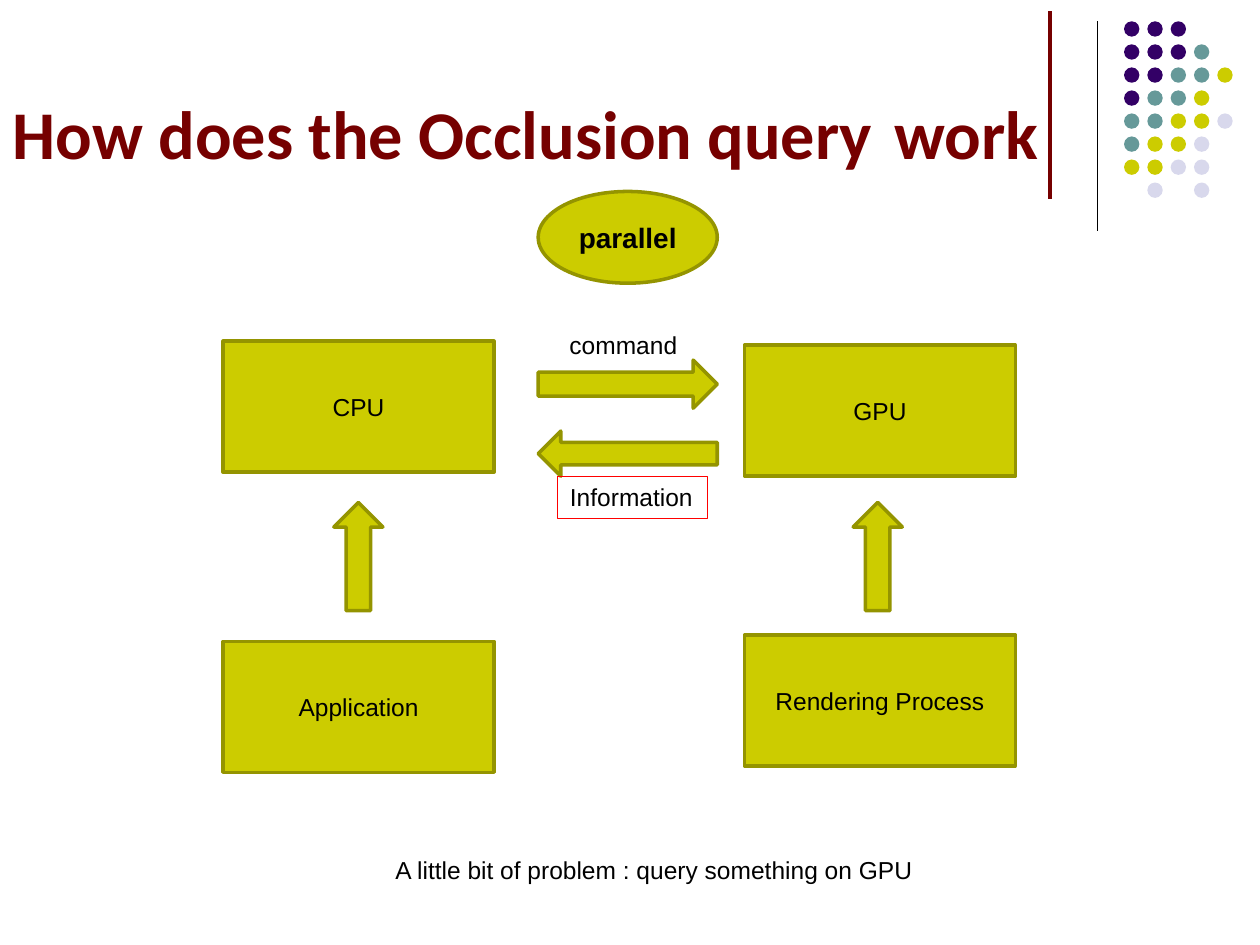
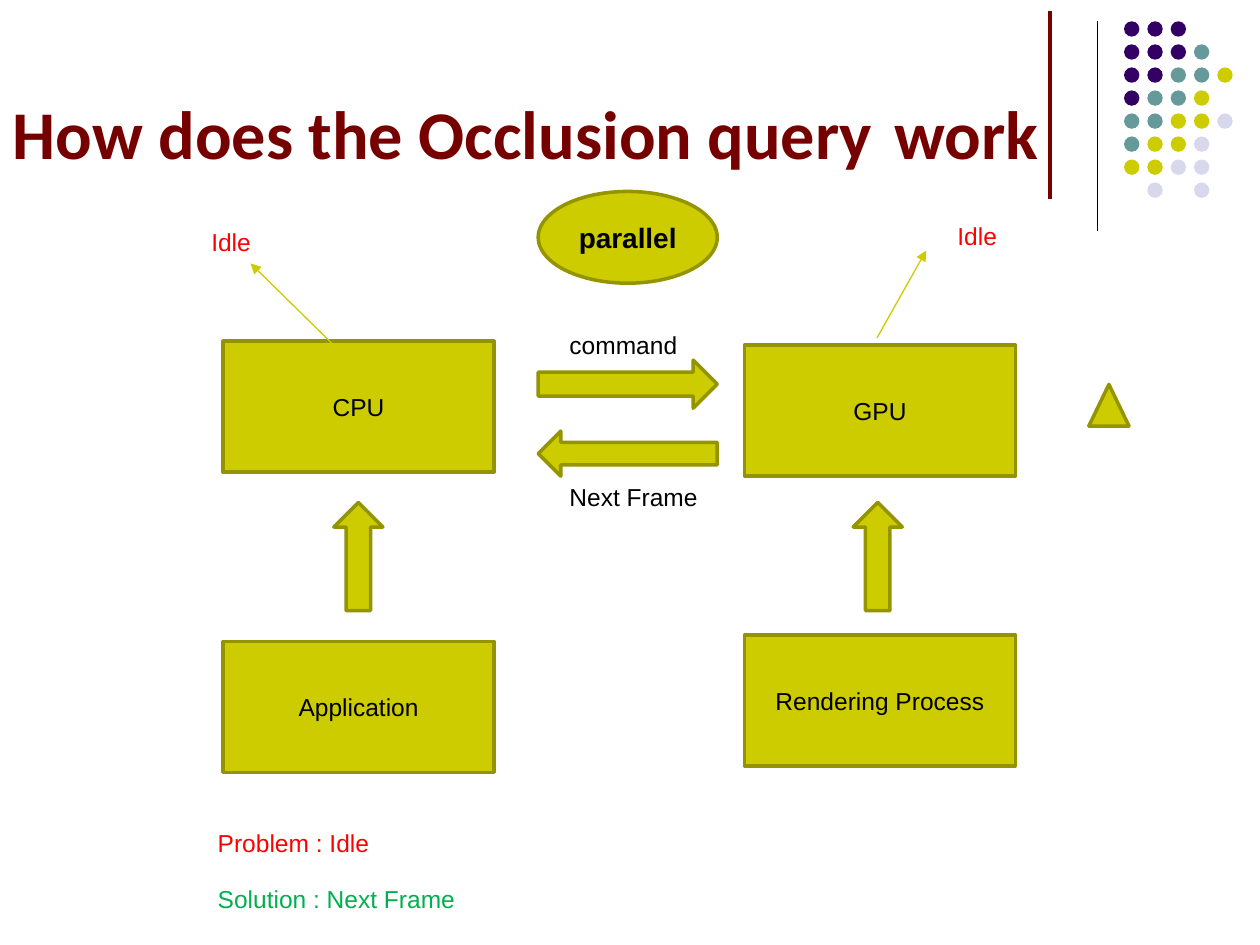
from lxml import etree
from pptx import Presentation
from pptx import util as u
from pptx.dml.color import RGBColor
from pptx.enum import shapes, text
from pptx.oxml.ns import qn

PURPLE, TEAL, YELLOW, PALE = "330066", "669999", "CCCC00", "D8D8EC"
MAROON, OLIVE, BLACK, RED, GREEN = "760000", "949400", "000000", "FF0000", "00B050"
DOT_COLOURS = {"P": PURPLE, "T": TEAL, "Y": YELLOW, "L": PALE}
DOT_ROWS = ["PPP", "PPPT", "PPTTY", "PTTY", "TTYYL", "TYYL", "YYLL", "-L-L"]
TITLE = "How does the Occlusion query \twork"
FORM = shapes.MSO_SHAPE


def colour(hex_code):
    return RGBColor.from_string(hex_code)


class Deck:
    """Holds the shared style and draws elements on the current slide, in centimetres."""

    def __init__(self):
        self.show = Presentation()
        self.show.slide_width, self.show.slide_height = u.Cm(25.4), u.Cm(19.05)
        self.slide = None

    def new_slide(self, heading):
        self.slide = self.show.slides.add_slide(self.show.slide_layouts[5])
        self.title(heading)
        self.line(22.12, 0.43, 22.12, 4.65, BLACK)
        self.line(21.16, 0.23, 21.16, 4.01, MAROON, 2.25)
        for row, codes in enumerate(DOT_ROWS):
            for column, code in enumerate(codes):
                if code in DOT_COLOURS:
                    self.shape(FORM.OVAL, 22.66 + 0.47 * column, 0.43 + 3.25 / 7 * row,
                               0.31, 0.31, fill=DOT_COLOURS[code], outline=None)

    def set_words(self, frame, words, size=14, ink=BLACK, bold=False, font="Arial",
                  align=text.PP_ALIGN.LEFT, anchor=text.MSO_ANCHOR.TOP, tab=None):
        frame.word_wrap = True
        frame.auto_size = text.MSO_AUTO_SIZE.NONE
        frame.vertical_anchor = anchor
        frame.text = words
        paragraph = frame.paragraphs[0]
        paragraph.alignment = align
        if tab:
            stops = etree.SubElement(paragraph._p.get_or_add_pPr(), qn("a:tabLst"))
            etree.SubElement(stops, qn("a:tab"), pos=str(u.Cm(tab)), algn="l")
        paragraph.font.name, paragraph.font.size = font, u.Pt(size)
        paragraph.font.bold = bold
        paragraph.font.color.rgb = colour(ink)

    def title(self, words):
        heading = self.slide.shapes.title
        heading.left, heading.top = u.Cm(0), u.Cm(0.51)
        heading.width, heading.height = u.Cm(23.44), u.Cm(3.1)
        self.set_words(heading.text_frame, words, 39, MAROON, True, "Calibri",
                       anchor=text.MSO_ANCHOR.BOTTOM, tab=17.78)

    def shape(self, form, left, top, width, height, words="", size=14, bold=False,
              fill=YELLOW, outline=OLIVE):
        figure = self.slide.shapes.add_shape(
            form, u.Cm(left), u.Cm(top), u.Cm(width), u.Cm(height))
        figure.shadow.inherit = False
        figure.fill.solid()
        figure.fill.fore_color.rgb = colour(fill)
        if outline:
            figure.line.color.rgb = colour(outline)
            figure.line.width = u.Pt(2)
        else:
            figure.line.fill.background()
        if words:
            self.set_words(figure.text_frame, words, size, bold=bold,
                           align=text.PP_ALIGN.CENTER, anchor=text.MSO_ANCHOR.MIDDLE)

    def label(self, words, left, top, width, ink=BLACK, outline=None):
        box = self.slide.shapes.add_textbox(u.Cm(left), u.Cm(top), u.Cm(width), u.Cm(0.86))
        self.set_words(box.text_frame, words, ink=ink)
        if outline:
            box.line.color.rgb = colour(outline)
            box.line.width = u.Pt(0.75)

    def line(self, x1, y1, x2, y2, ink, weight=0.75, arrow=False):
        rule = self.slide.shapes.add_connector(
            shapes.MSO_CONNECTOR.STRAIGHT, u.Cm(x1), u.Cm(y1), u.Cm(x2), u.Cm(y2))
        rule.line.color.rgb = colour(ink)
        rule.line.width = u.Pt(weight)
        properties = rule._element.spPr
        if arrow:
            etree.SubElement(properties.find(qn("a:ln")), qn("a:tailEnd"), type="triangle")
        etree.SubElement(properties, qn("a:effectLst"))

    def query_flow(self):
        for words, left, top in [("CPU", 4.5, 6.88), ("GPU", 15.01, 6.96),
                                 ("Application", 4.5, 12.93),
                                 ("Rendering Process", 15.01, 12.8)]:
            self.shape(FORM.RECTANGLE, left, top, 5.46, 2.64, words)
        for left in (6.73, 17.2):
            self.shape(FORM.UP_ARROW, left, 10.13, 0.99, 2.18)
        self.shape(FORM.RIGHT_ARROW, 10.85, 7.26, 3.61, 0.97)
        self.shape(FORM.LEFT_ARROW, 10.85, 8.69, 3.61, 0.91)
        self.shape(FORM.OVAL, 10.85, 3.86, 3.61, 1.85, "parallel", 16, True)
        self.label("command", 11.23, 6.53, 2.8)


def main():
    deck = Deck()

    deck.new_slide(TITLE)
    deck.query_flow()
    deck.label("Information", 11.24, 9.6, 3.02, outline=RED)
    deck.label("A little bit of problem : query something on GPU", 7.72, 17.12, 12.12)

    deck.new_slide(TITLE)
    deck.query_flow()
    deck.label("Next Frame", 11.23, 9.6, 3.2)
    deck.shape(FORM.ISOSCELES_TRIANGLE, 21.95, 7.75, 0.81, 0.84)
    deck.label("Problem : Idle", 4.14, 16.56, 3.7, RED)
    deck.label("Solution : Next Frame", 4.14, 17.7, 5.4, GREEN)
    deck.line(6.73, 6.96, 5.05, 5.31, YELLOW, arrow=True)
    deck.label("Idle", 4.01, 4.45, 1.4, RED)
    deck.line(17.68, 6.81, 18.67, 5.05, YELLOW, arrow=True)
    deck.label("Idle", 19.05, 4.34, 1.4, RED)

    deck.show.save("out.pptx")


if __name__ == "__main__":
    main()
